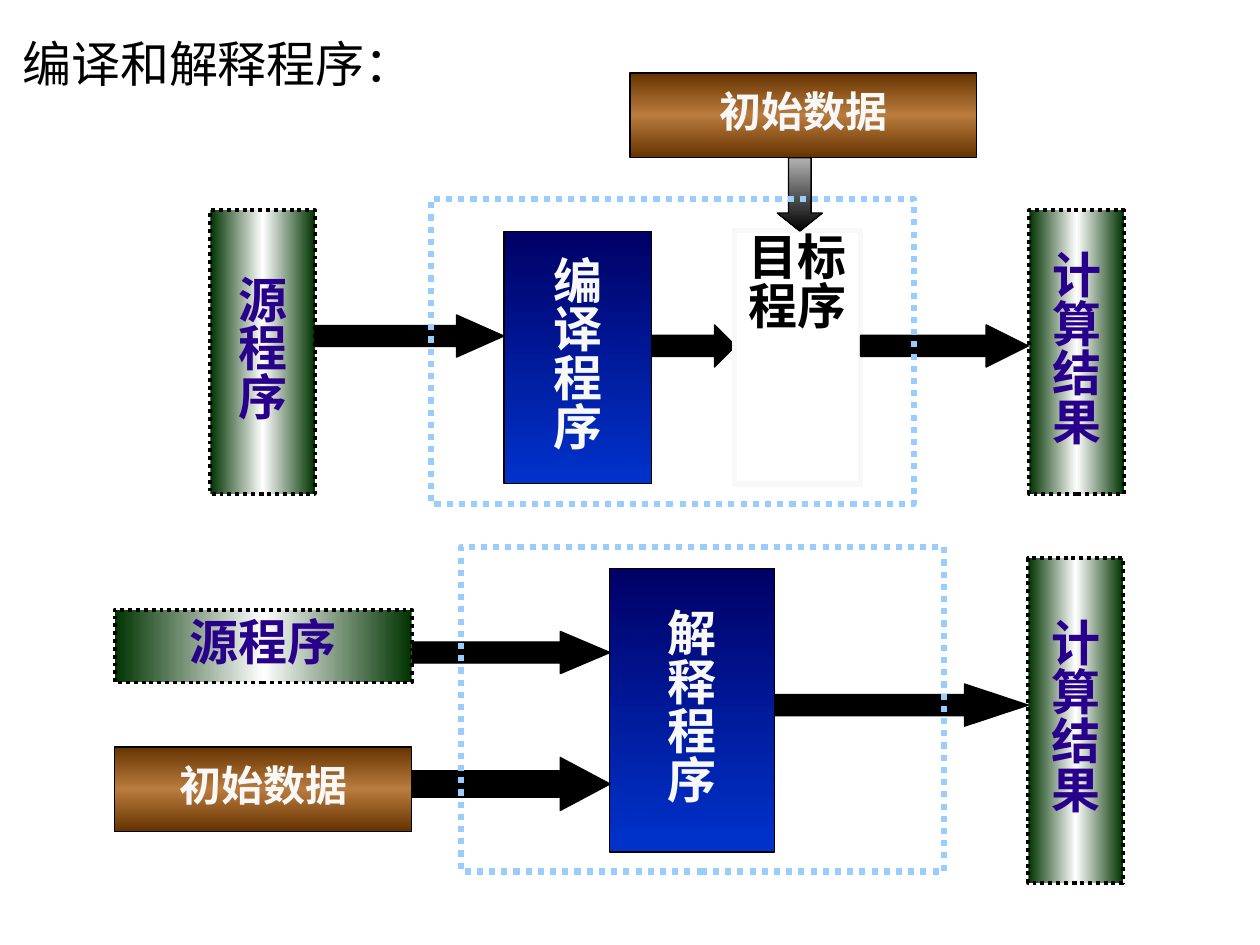
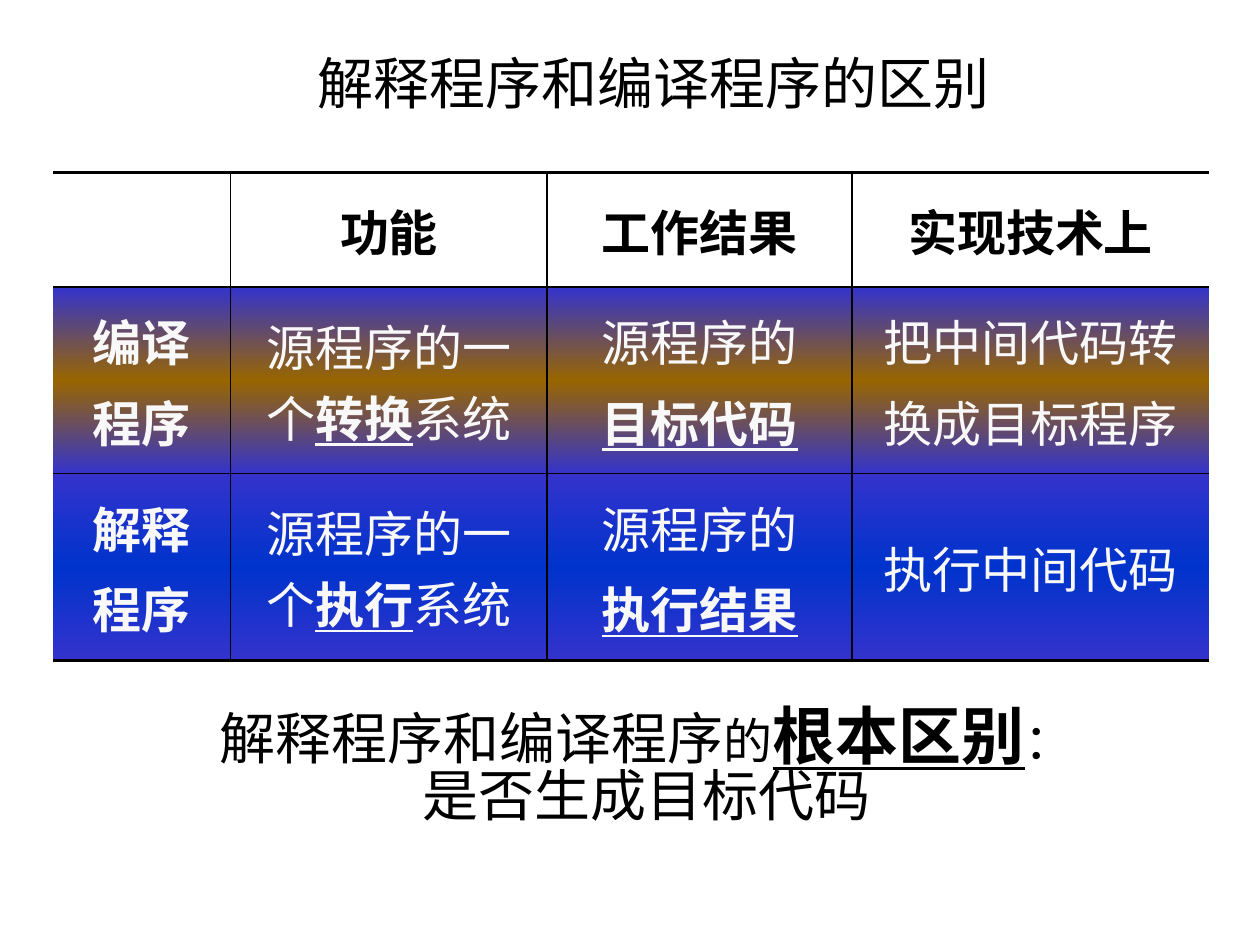
"""Build two slides on compilers and interpreters."""
from dataclasses import dataclass
from typing import NamedTuple, Optional

from lxml.etree import SubElement as Sub
from pptx import Presentation
from pptx.dml.color import RGBColor as Rgb
from pptx.enum.dml import MSO_LINE as Dash
from pptx.enum.shapes import MSO_SHAPE as Kind
from pptx.enum.text import MSO_ANCHOR as Anchor, PP_ALIGN as Align
from pptx.oxml.ns import qn
from pptx.util import Cm, Pt


@dataclass(frozen=True)
class Theme:
    black: str = "000000"
    pale: str = "F8F8F8"
    violet: str = "28008C"
    sky: str = "99CCFF"
    green: tuple = ("003300", "FFFFFF", "003300")
    brown: tuple = ("663300", "BA7C3E", "663300")
    blue: tuple = ("000066", "0033CC")
    grey: tuple = ("B2B2B2", "000000")
    gold: tuple = ("3333CC", "996600", "3333CC")
    royal: tuple = ("3333CC", "0033CC", "3333CC")
    small: int = 24
    body: int = 28
    head: int = 32
    key: int = 36
    thin: float = 0.75
    rule: float = 1
    thick: float = 2.25
    latin: str = "Times New Roman"
    han: str = "Noto Sans CJK SC"
    tight: float = 0.83


T = Theme()


class Place(NamedTuple):
    x: float
    y: float
    w: float
    h: float


class Look(NamedTuple):
    fill: tuple = ()
    line: str = T.black
    width: float = T.thin
    dots: bool = False
    ink: str = T.pale
    size: int = T.body
    face: str = T.latin
    angle: int = 90
    kind: Kind = Kind.RECTANGLE
    wrap: bool = False
    anchor: Anchor = Anchor.MIDDLE


class Box(NamedTuple):
    look: Look
    at: Place
    text: str = ""


class Arrow(NamedTuple):
    at: Place
    head: float
    fill: tuple = (T.black,)
    kind: Kind = Kind.RIGHT_ARROW


class Bit(NamedTuple):
    text: str
    size: Optional[int] = None
    strong: bool = False


END = Look(T.green, width=T.thick, dots=True, ink=T.violet, angle=0)
TOOL = Look(T.blue)
HAN_TOOL = TOOL._replace(face=T.han)
DATA = Look(T.brown, size=T.small, kind=Kind.FLOWCHART_PROCESS)
GOAL = Look(line=T.pale, width=3, ink=T.black, face=T.han, wrap=True,
            anchor=Anchor.TOP)
FRAME = Look(line=T.sky, width=3.5, dots=True)

COMPILE = [
    Arrow(Place(13.13, 6.55, 1.7, 0.85), 0.5),
    Box(GOAL, Place(14.81, 4.65, 2.54, 5.11), "目标程序"),
    Box(END, Place(4.24, 4.24, 2.11, 5.72), "源\n程\n序"),
    Box(HAN_TOOL, Place(10.16, 4.67, 2.97, 5.08), "编\n译\n程\n序"),
    Arrow(Place(6.35, 6.35, 3.81, 0.85), 1.125),
    Arrow(Place(17.35, 6.55, 3.38, 0.85), 1),
    Arrow(Place(15.67, 3.18, 0.91, 1.48), 0.4, T.grey, Kind.DOWN_ARROW),
    Box(DATA, Place(12.7, 1.47, 6.99, 1.7), "初始数据"),
    Box(END, Place(20.75, 4.24, 1.91, 5.72), "计\n算\n结\n果"),
    Box(FRAME, Place(8.69, 4.01, 9.73, 6.15)),
]
EXPLAIN = [
    Box(END, Place(2.31, 12.29, 5.99, 1.47), "源程序"),
    Box(TOOL, Place(12.29, 11.46, 3.33, 5.72), "解\n释\n程\n序"),
    Arrow(Place(15.62, 13.79, 5.11, 0.85), 1.51),
    Arrow(Place(8.31, 15.27, 3.99, 1.07), 0.94),
    Arrow(Place(8.31, 12.73, 3.99, 0.85), 1.18),
    Box(DATA, Place(2.31, 15.06, 5.99, 1.7), "初始数据"),
    Box(END, Place(20.73, 11.25, 1.91, 6.55), "计\n算\n结\n果"),
    Box(FRAME, Place(9.3, 11.02, 9.73, 6.55)),
]

COLS = (3.58, 6.38, 6.15, 7.19)
ROWS = (2.31, 3.76, 3.76)
FILLS = ((), T.gold, T.royal)
GRID = [
    ["", "*功能*", "*工作结果*", "*实现技术上*"],
    ["*编译*\n*程序*", "源程序的一个_转换_系统", "源程序的\n_目标代码_",
     "把中间代码转\n换成目标程序"],
    ["*解释*\n*程序*", "源程序的一个_执行_系统", "源程序的\n_执行结果_",
     "执行中间代码"],
]


def area(at: Place) -> list:
    return [Cm(v) for v in at]


def solid(node, color: str) -> None:
    Sub(Sub(node, qn("a:solidFill")), qn("a:srgbClr"), val=color)


def blend(fill, colors: tuple, angle: int) -> None:
    fill.gradient()
    grad = fill._xPr.find(qn("a:gradFill"))
    for child in list(grad):
        grad.remove(child)
    stops = Sub(grad, qn("a:gsLst"))
    for i, color in enumerate(colors):
        stop = Sub(stops, qn("a:gs"), pos=str(100000 * i // (len(colors) - 1)))
        Sub(stop, qn("a:srgbClr"), val=color)
    Sub(grad, qn("a:lin"), ang=str(angle * 60000), scaled="0")


def paint(fill, colors: tuple, angle: int = 90) -> None:
    if len(colors) > 1:
        blend(fill, colors, angle)
    elif colors:
        fill.solid()
        fill.fore_color.rgb = Rgb.from_string(colors[0])
    else:
        fill.background()


def style(para, size: int, ink: str, face: str, bold: bool) -> None:
    font = para.font
    font.size, font.bold, font.name = Pt(size), bold, face
    font.color.rgb = Rgb.from_string(ink)
    props = para._p.pPr.find(qn("a:defRPr"))
    Sub(props, qn("a:ea"), typeface=T.han)


def write(frame, lines: list, size: int, ink: str, face: str = T.latin,
          bold: bool = False, align: Align = Align.CENTER,
          tight: Optional[float] = T.tight, gap: float = 0) -> None:
    for i, bits in enumerate(lines):
        para = frame.add_paragraph() if i else frame.paragraphs[0]
        para.alignment = align
        if tight:
            para.line_spacing = tight
        if i and gap:
            para.space_before = Pt(gap)
        style(para, size, ink, face, bold)
        for bit in bits:
            run = para.add_run()
            run.text = bit.text
            if bit.size:
                run.font.size = Pt(bit.size)
            if bit.strong:
                run.font.bold = run.font.underline = True


def draw(slide, kind: Kind, at: Place, look: Look):
    shape = slide.shapes.add_shape(kind, *area(at))
    shape.shadow.inherit = False
    paint(shape.fill, look.fill, look.angle)
    shape.line.color.rgb = Rgb.from_string(look.line)
    shape.line.width = Pt(look.width)
    if look.dots:
        shape.line.dash_style = Dash.ROUND_DOT
    return shape


def put(slide, item) -> None:
    if isinstance(item, Arrow):
        shape = draw(slide, item.kind, item.at, Look(item.fill))
        shape.adjustments[0], shape.adjustments[1] = 0.5, item.head
        return
    look = item.look
    shape = draw(slide, look.kind, item.at, look)
    if item.text:
        frame = shape.text_frame
        frame.word_wrap, frame.vertical_anchor = look.wrap, look.anchor
        lines = [[Bit(t)] for t in item.text.split("\n")]
        write(frame, lines, look.size, look.ink, look.face, True)


def label(slide, at: Place, lines: list, size: int, face: str = T.latin,
          align: Align = Align.LEFT, anchor: Anchor = Anchor.TOP) -> None:
    frame = slide.shapes.add_textbox(*area(at)).text_frame
    frame.word_wrap, frame.vertical_anchor = True, anchor
    write(frame, lines, size, T.black, face, align=align)


def edge(cell, side: str, width: float) -> None:
    line = Sub(cell._tc.get_or_add_tcPr(), qn("a:ln" + side),
               w=str(Pt(width)))
    if width:
        solid(line, T.black)
    else:
        Sub(line, qn("a:noFill"))


def cell_text(cell, text: str, ink: str) -> None:
    bold = text.startswith("*")
    lines = []
    for row in text.replace("*", "").split("\n"):
        parts = enumerate(row.split("_"))
        lines.append([Bit(t, strong=i % 2 == 1) for i, t in parts if t])
    write(cell.text_frame, lines, T.body, ink, bold=bold, tight=None,
          gap=0.2 * T.body)


def matrix(slide, x: float, y: float) -> None:
    at = Place(x, y, sum(COLS), sum(ROWS))
    table = slide.shapes.add_table(len(ROWS), len(COLS), *area(at)).table
    table.first_row = table.horz_banding = False
    for col, width in zip(table.columns, COLS):
        col.width = Cm(width)
    for r, height in enumerate(ROWS):
        table.rows[r].height = Cm(height)
        for c, text in enumerate(GRID[r]):
            cell = table.cell(r, c)
            cell.vertical_anchor = Anchor.MIDDLE
            edge(cell, "L", T.rule if c else 0)
            edge(cell, "R", T.rule if c < len(COLS) - 1 else 0)
            edge(cell, "T", T.rule if r else T.thick)
            edge(cell, "B", T.rule if r < len(ROWS) - 1 else T.thick)
            paint(cell.fill, FILLS[r])
            if text:
                cell_text(cell, text, T.pale if r else T.black)


def flow(slide) -> None:
    label(slide, Place(0.2, 0.2, 21.59, 2.34), [[Bit("编译和解释程序：")]],
          T.body, T.han, anchor=Anchor.MIDDLE)
    for item in COMPILE + EXPLAIN:
        put(slide, item)


def contrast(slide) -> None:
    matrix(slide, 1.07, 3.48)
    label(slide, Place(6.15, 1.09, 14.17, 1.6),
          [[Bit("解释程序和编译程序的区别")]], T.head)
    close = [
        [Bit("解释程序和编译程序"), Bit("的", T.body),
         Bit("根本区别", T.key, True), Bit("：", T.body)],
        [Bit("是否生成目标代码")],
    ]
    label(slide, Place(1.7, 14.17, 22.66, 3.12), close, T.head,
          align=Align.CENTER)


def main() -> None:
    deck = Presentation()
    deck.slide_width, deck.slide_height = Cm(25.4), Cm(19.05)
    for build in (flow, contrast):
        build(deck.slides.add_slide(deck.slide_layouts[6]))
    deck.save("out.pptx")


if __name__ == "__main__":
    main()
